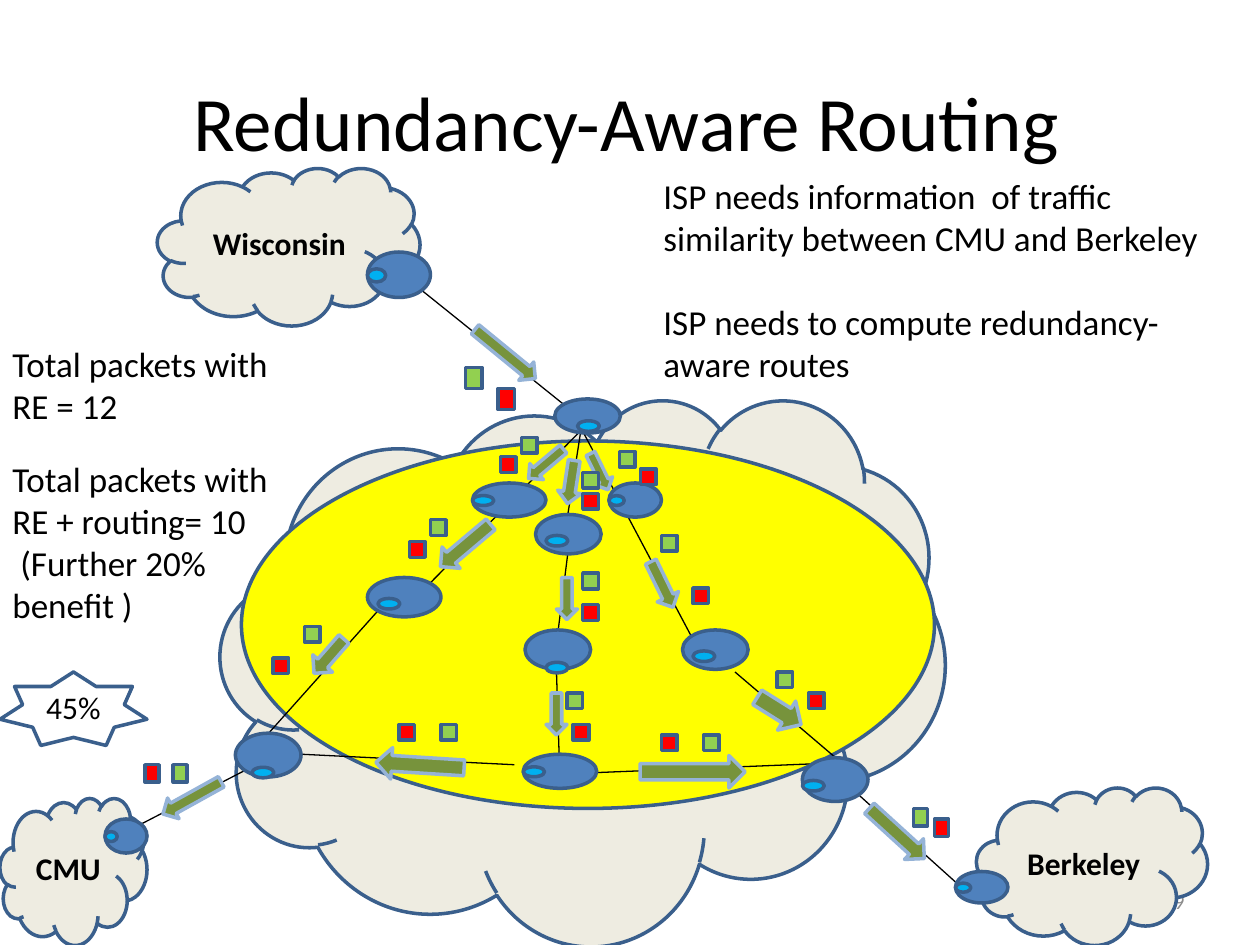
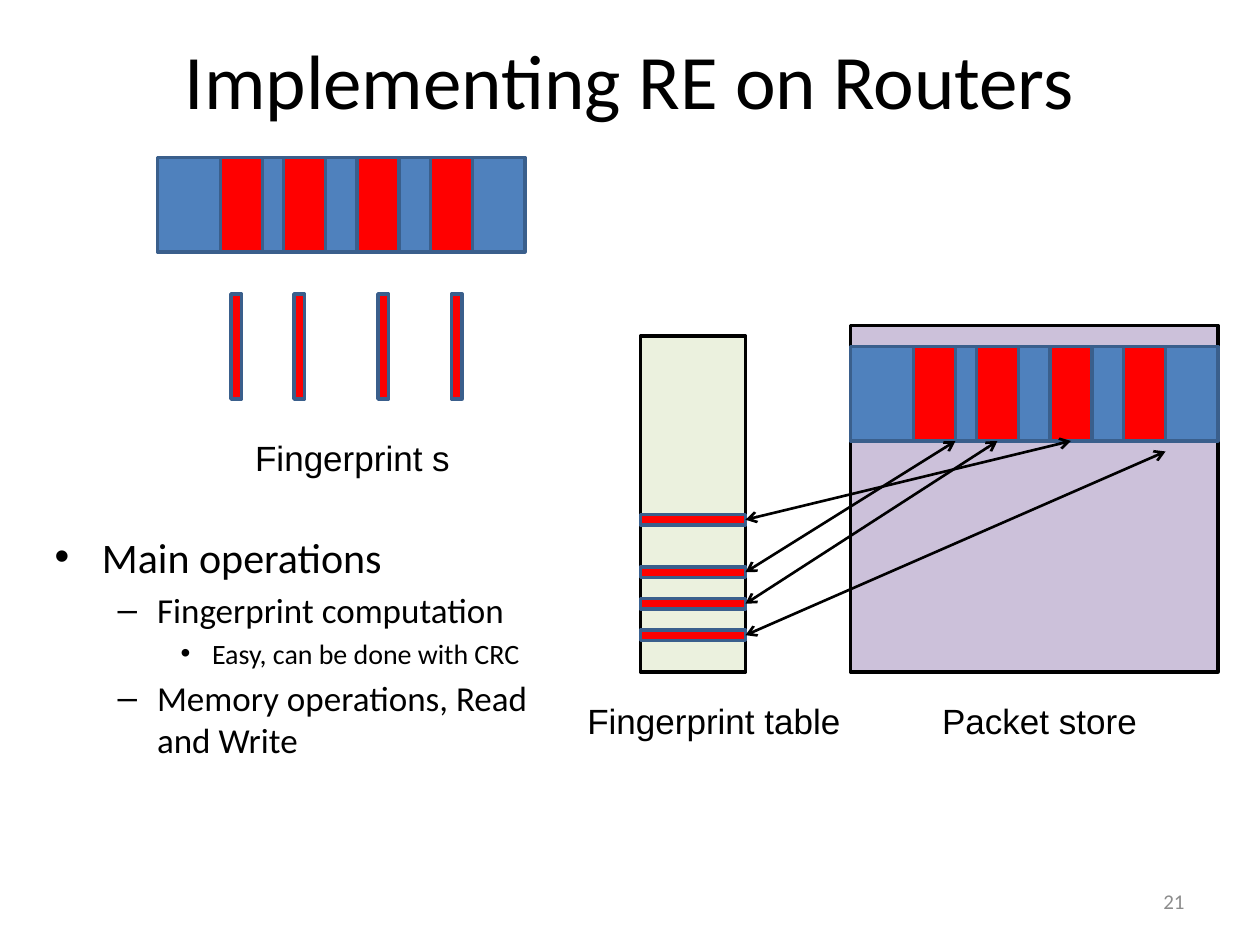
"""Two slides on redundancy elimination (RE) in networks."""
from dataclasses import dataclass

from lxml import etree
from pptx import Presentation, util as u
from pptx.dml.color import RGBColor
from pptx.enum import shapes, text
from pptx.oxml.ns import qn

Pt = u.Pt
Kind = shapes.MSO_SHAPE
Side = text.PP_ALIGN


@dataclass(frozen=True)
class Theme:
    """Colours, fonts and type sizes of the deck."""
    font: str = "Calibri"
    plain: str = "Arial"
    black: str = "000000"
    grey: str = "8C8C8C"
    edge: str = "3A5F8C"
    blue: str = "4F81BD"
    cyan: str = "00B0F0"
    cloud: str = "EEECE1"
    yellow: str = "FFFF00"
    green: str = "92D050"
    red: str = "FF0000"
    arrow: str = "77933C"
    rim: str = "95B3D7"
    table: str = "EBF1DE"
    store: str = "CCC1DA"
    title: int = 44
    levels: tuple = (24, 20, 16)
    note: int = 20
    label: int = 18
    page: int = 12


class Deck:
    """Holds the theme and the current slide, and draws on it."""

    def __init__(self, theme):
        """Start an empty 4:3 deck."""
        self.theme = theme
        self.file = Presentation()
        self.file.slide_width, self.file.slide_height = Pt(720), Pt(540)
        self.slide = None

    def style(self, para, size, font=None, color=None, bold=None):
        """Format every run of a paragraph."""
        for run in para.runs:
            run.font.name = font or self.theme.font
            run.font.size = Pt(size)
            run.font.bold = bold
            run.font.color.rgb = RGBColor.from_string(color or self.theme.black)

    def place(self, item, box):
        """Move and size a placeholder."""
        item.left, item.top, item.width, item.height = map(Pt, box)

    def start(self, layout, title, box):
        """Add a slide with its title."""
        self.slide = self.file.slides.add_slide(self.file.slide_layouts[layout])
        head = self.slide.shapes.title
        self.place(head, box)
        head.text_frame.text = title
        self.style(head.text_frame.paragraphs[0], self.theme.title)

    def list(self, box, rows):
        """Fill the body placeholder with (level, words) rows."""
        body = self.slide.placeholders[1]
        self.place(body, box)
        frame = body.text_frame
        frame.text = "\n".join(words for _, words in rows)
        for para, (level, _) in zip(frame.paragraphs, rows):
            para.level = level
            self.style(para, self.theme.levels[level])

    def note(self, box, words, size=None, font=None, color=None,
             side=Side.LEFT, gap=0, wrap=True):
        """Add a text box; gap is the space before later paragraphs."""
        frame = self.slide.shapes.add_textbox(*map(Pt, box)).text_frame
        frame.word_wrap = wrap
        frame.auto_size = text.MSO_AUTO_SIZE.SHAPE_TO_FIT_TEXT
        frame.text = words
        for spot, para in enumerate(frame.paragraphs):
            para.alignment = side
            para.space_before = Pt(gap if spot else 0)
            self.style(para, size or self.theme.note, font, color)
        return frame

    def page(self, number):
        """Add the page number at the lower right."""
        frame = self.note((516, 500.5, 168, 29), number, self.theme.page,
                          color=self.theme.grey, side=Side.RIGHT)
        frame.auto_size = text.MSO_AUTO_SIZE.NONE
        frame.vertical_anchor = text.MSO_ANCHOR.MIDDLE

    def shape(self, kind, box, fill=None, edge=None, words="", bold=None):
        """Add a preset shape, with a centred label if given."""
        item = self.slide.shapes.add_shape(kind, *map(Pt, box))
        item.shadow.inherit = False
        if fill:
            item.fill.solid()
            item.fill.fore_color.rgb = RGBColor.from_string(fill)
        else:
            item.fill.background()
        item.line.color.rgb = RGBColor.from_string(edge or self.theme.edge)
        item.line.width = Pt(2)
        if words:
            item.text_frame.text = words
            para = item.text_frame.paragraphs[0]
            para.alignment = Side.CENTER
            self.style(para, self.theme.label, bold=bold)
        return item

    def cloud(self, box, words=""):
        """Add a network cloud."""
        self.shape(Kind.CLOUD, box, self.theme.cloud, words=words, bold=True)

    def router(self, x, y, w, h, dot=None):
        """Add a router; its port is at dot, or at the left edge."""
        self.shape(Kind.OVAL, (x, y, w, h), self.theme.blue)
        port = (*dot, 12.5, 6) if dot else (x, y + 0.37 * h, 0.29 * w, 0.29 * h)
        self.shape(Kind.OVAL, port, self.theme.cyan)

    def arrow(self, x, y, w, h, turn):
        """Add a block arrow, turned clockwise from pointing down."""
        item = self.shape(Kind.DOWN_ARROW, (x, y, w, h),
                          self.theme.arrow, self.theme.rim)
        item.rotation = turn

    def rect(self, box, fill, edge=None):
        """Add a rectangle."""
        self.shape(Kind.RECTANGLE, box, fill, edge)

    def line(self, ends, width=0.75, heads=False):
        """Add a straight line, with open heads at both ends if asked."""
        item = self.slide.shapes.add_connector(
            shapes.MSO_CONNECTOR.STRAIGHT, *map(Pt, ends))
        item.line.color.rgb = RGBColor.from_string(self.theme.black)
        item.line.width = Pt(width)
        props = item.element.spPr
        if heads:
            for tag in ("a:headEnd", "a:tailEnd"):
                etree.SubElement(props.find(qn("a:ln")), qn(tag), type="arrow")
        etree.SubElement(props, qn("a:effectLst"))

    def packet(self, x, y):
        """Add a long packet with its four red regions."""
        self.rect((x, y, 210, 54), self.theme.blue)
        for step in REGIONS:
            self.rect((x + step, y, 24, 54), self.theme.red)


REGIONS = (36, 72, 114, 156)

LINKS = (
    (332.5, 245.5, 245.5, 333.5), (216, 349, 153.5, 419),
    (332.5, 245.5, 395, 363.5), (420, 384, 477.5, 433),
    (294, 437, 172, 431), (340.5, 441.5, 464.5, 436.5),
    (318, 384, 319.5, 431), (332, 245.5, 324.5, 294),
    (324.5, 316, 319, 360), (240.5, 165.5, 322, 231),
    (139.5, 440.5, 80.5, 471), (491, 454.5, 546, 504),
)
ROUTERS = (
    (317, 228, 37.5, 19.5, (330, 240.5)), (210, 330, 42, 22.5, (216, 342)),
    (390, 360, 37.5, 22.5, (396, 372)), (134.5, 419, 37.5, 25, (144, 438.5)),
    (458.5, 433, 37.5, 25, (458.5, 446)), (306, 294, 37.5, 22.5, (312, 306)),
    (300, 360, 37.5, 22.5, (312, 378.5)),
    (299, 431, 42, 19.5), (270, 276, 42, 19.5), (348, 276, 30, 19.5),
    (210, 144, 36, 26), (60, 468, 24, 19.5), (546, 498, 30, 18),
)
ARROWS = (
    (103, 437, 13.5, 38, 61), (504.5, 455, 16, 42.5, 312.4),
    (282, 180, 13.5, 44.5, 309.3), (371.5, 319.5, 13.5, 29, 334),
    (180.5, 362, 15, 26, 41.2), (435.5, 391.5, 19.5, 29.5, 302),
    (258, 293, 16, 37.5, 49.9), (306, 252, 12, 26, 49.9),
    (337, 258, 11, 23, 334), (231, 412, 18, 50.5, 93.6),
    (319.5, 263, 13.5, 25, 8.7), (386.5, 411, 18.5, 60, 270),
    (318, 330, 12, 24, 0), (312, 396, 12, 24, 0),
)
# Pairs of a green and a red packet, by packet size.
PAIRS = {
    (9, 9): (
        ((246, 297), (234, 309.5)), ((174, 358), (156, 376)),
        ((378, 306), (396, 336)), ((444, 384), (462, 396)),
        ((298, 250), (286, 261)), ((354, 258), (366, 268)),
        ((324, 396), (327.5, 414)), ((333, 327.5), (333, 345.5)),
        ((402, 420), (378, 420)), ((252, 414), (228, 414)),
        ((333, 270), (333, 282)),
    ),
    (9.5, 12): (((266, 210), (284.5, 222)),),
    (8, 10): (((522, 462), (534, 468)), ((99, 437), (83, 437))),
}


def route(deck):
    """Build the routing slide."""
    look = deck.theme
    deck.start(5, "Redundancy-Aware Routing", (63, 24, 590, 90))
    deck.cloud((126, 228, 414, 312))
    deck.shape(Kind.OVAL, (138, 252, 396, 210), look.yellow)
    deck.note((0, 192, 168, 55), "Total packets with RE = 12")
    deck.note((0, 258, 168, 104),
              "Total packets with RE + routing= 10\n (Further 20% benefit )")
    deck.note((372, 96, 342, 128),
              "ISP needs information  of traffic similarity between CMU and "
              "Berkeley\nISP needs to compute redundancy-aware routes", gap=24)
    deck.page("9")
    deck.cloud((90, 96, 150, 90), "Wisconsin")
    deck.cloud((558, 450, 132, 90), "Berkeley")
    deck.cloud((0, 456, 84, 84), "CMU")
    deck.shape(Kind.STAR_7_POINT, (0, 384, 84, 42), words="45%")
    for ends in LINKS:
        deck.line(ends)
    for spot in ROUTERS:
        deck.router(*spot)
    for spot in ARROWS:
        deck.arrow(*spot)
    for size, pairs in PAIRS.items():
        for green, red in pairs:
            deck.rect((*green, *size), look.green)
            deck.rect((*red, *size), look.red)


def build(deck):
    """Build the router slide."""
    look = deck.theme
    deck.start(1, "Implementing RE on Routers", (30, 0, 660, 90))
    deck.page("21")
    deck.rect((366, 192, 60, 192), look.table, look.black)
    deck.rect((486, 186, 210, 198), look.store, look.black)
    deck.packet(90, 90)
    deck.packet(486, 198)
    for step, shift in zip(REGIONS, (6, 6, 12, 12)):
        deck.rect((90 + step + shift, 168, 6, 60), look.red)
    # Each table row points at a place in the stored packet.
    for y, goal in ((360, (666, 258)), (324, (546, 252)),
                    (294, (612, 252)), (342, (570, 252))):
        deck.rect((366, y, 60, 6), look.red)
        deck.line((426, y + 3, *goal), 1.5, heads=True)
    for box, words, wrap in (((138, 246, 127, 32), "Fingerprint s", False),
                             ((306, 396, 204, 32), "Fingerprint table", True),
                             ((492, 396, 204, 32), "Packet store", True)):
        deck.note(box, words, font=look.plain, side=Side.CENTER, wrap=wrap)
    deck.list((24, 300, 294, 153), (
        (0, "Main operations"),
        (1, "Fingerprint computation"),
        (2, "Easy, can be done with CRC"),
        (1, "Memory operations, Read and Write"),
    ))


deck = Deck(Theme())
route(deck)
build(deck)
deck.file.save("out.pptx")
